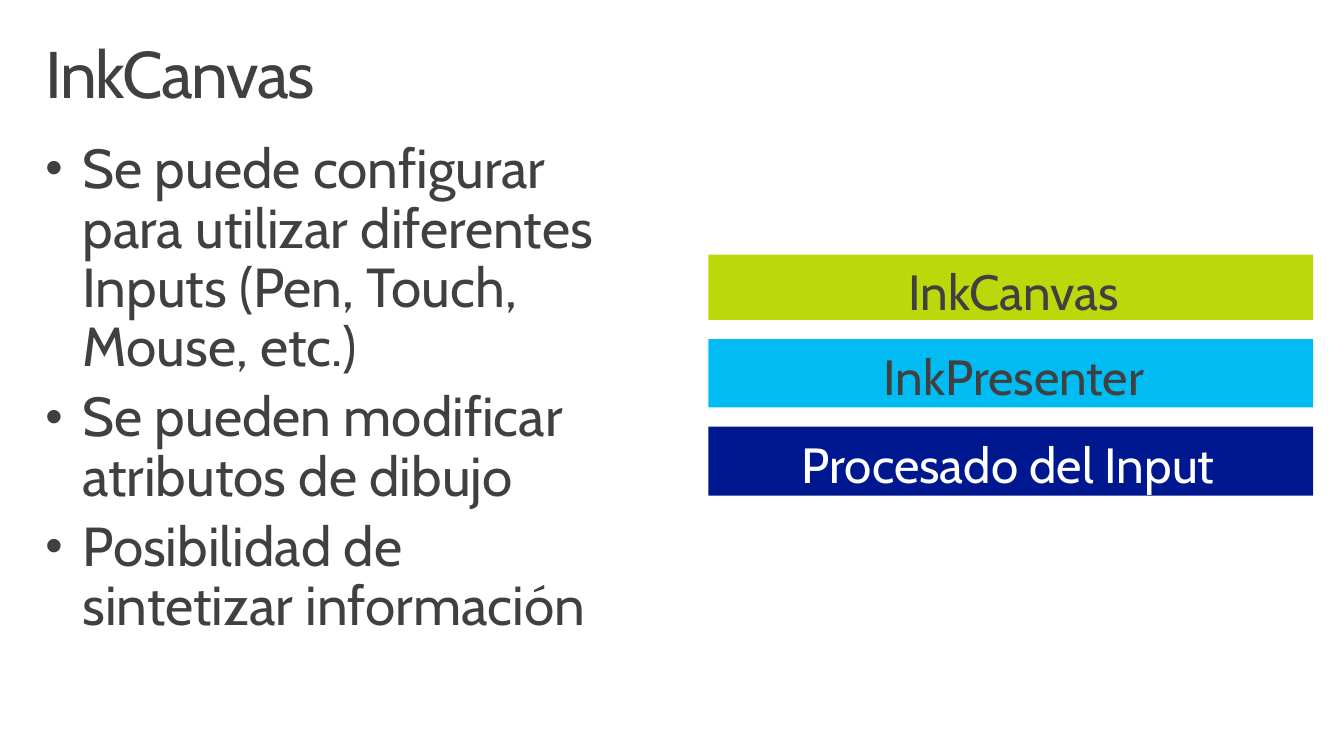
from lxml import etree
from pptx import Presentation
from pptx.dml.color import RGBColor
from pptx.enum.shapes import MSO_SHAPE
from pptx.enum.text import MSO_ANCHOR, PP_ALIGN
from pptx.oxml.ns import qn
from pptx.util import Pt

FONT = "Cabin"
GREY = "404040"
POINTS = [
    "Se puede configurar para utilizar diferentes Inputs (Pen, Touch, Mouse, etc.)",
    "Se pueden modificar atributos de dibujo",
    "Posibilidad de sintetizar información",
]
LAYERS = [
    ("InkCanvas", 47.5, "BAD80A", GREY),
    ("InkPresenter", 49.7, "00BCF2", GREY),
    ("Procesado del Input ", 50.4, "00188F", "FFFFFF"),
]


def color(hex_string):
    """Turn a hex string into a colour."""
    return RGBColor.from_string(hex_string)


def set_font(paragraph, size, hex_string):
    """Set the slide's typeface on a paragraph."""
    paragraph.font.name = FONT
    paragraph.font.size = Pt(size)
    paragraph.font.color.rgb = color(hex_string)


def set_margins(frame, left, top, right, bottom):
    """Wrap the text and set its insets."""
    frame.word_wrap = True
    frame.margin_left, frame.margin_top = Pt(left), Pt(top)
    frame.margin_right, frame.margin_bottom = Pt(right), Pt(bottom)


def add_text_frame(slide, left, top, width, height):
    """Add a text box and return its text frame."""
    frame = slide.shapes.add_textbox(Pt(left), Pt(top), Pt(width), Pt(height)).text_frame
    set_margins(frame, 11.5, 7.2, 11.5, 7.2)
    return frame


def add_bullet(paragraph, indent):
    """Give a paragraph a hanging round bullet."""
    properties = paragraph._p.get_or_add_pPr()
    properties.set("marL", str(Pt(indent)))
    properties.set("indent", str(-Pt(indent)))
    etree.SubElement(properties, qn("a:buSzPct")).set("val", "90000")
    etree.SubElement(properties, qn("a:buFont")).set("typeface", "Arial")
    etree.SubElement(properties, qn("a:buChar")).set("char", "•")


def add_title(slide, text, left, top, width, height):
    """Add the slide title."""
    paragraph = add_text_frame(slide, left, top, width, height).paragraphs[0]
    run = paragraph.add_run()
    run.text = text
    run.font._element.set("spc", "-100")
    paragraph.line_spacing = 0.9
    set_font(paragraph, 48, GREY)


def add_points(slide, points, left, top, width, height):
    """Add the bulleted list."""
    frame = add_text_frame(slide, left, top, width, height)
    for index, point in enumerate(points):
        paragraph = frame.add_paragraph() if index else frame.paragraphs[0]
        paragraph.text = point
        add_bullet(paragraph, 27)
        paragraph.line_spacing = 0.9
        if index:
            paragraph.space_before = Pt(8)
        set_font(paragraph, 40, GREY)


def add_layers(slide, layers, left, top, width, gap):
    """Stack the coloured layers from top to bottom."""
    for text, height, fill, text_color in layers:
        shape = slide.shapes.add_shape(
            MSO_SHAPE.RECTANGLE, Pt(left), Pt(top), Pt(width), Pt(height))
        shape.shadow.inherit = False
        shape.fill.solid()
        shape.fill.fore_color.rgb = color(fill)
        shape.line.fill.background()
        frame = shape.text_frame
        set_margins(frame, 7.2, 7.2, 2.9, 2.9)
        frame.vertical_anchor = MSO_ANCHOR.MIDDLE
        paragraph = frame.paragraphs[0]
        paragraph.text = text
        paragraph.alignment = PP_ALIGN.CENTER
        set_font(paragraph, 36, text_color)
        top += height + gap


def main():
    """Build and save the presentation."""
    presentation = Presentation()
    presentation.slide_width = Pt(979.2)
    presentation.slide_height = Pt(550.8)
    slide = presentation.slides.add_slide(presentation.slide_layouts[6])
    add_title(slide, "InkCanvas", 21.6, 23, 936, 72)
    add_points(slide, POINTS, 21.6, 95.8, 425.5, 383)
    add_layers(slide, LAYERS, 516.2, 185.6, 440.6, 14)
    presentation.save("out.pptx")


if __name__ == "__main__":
    main()
